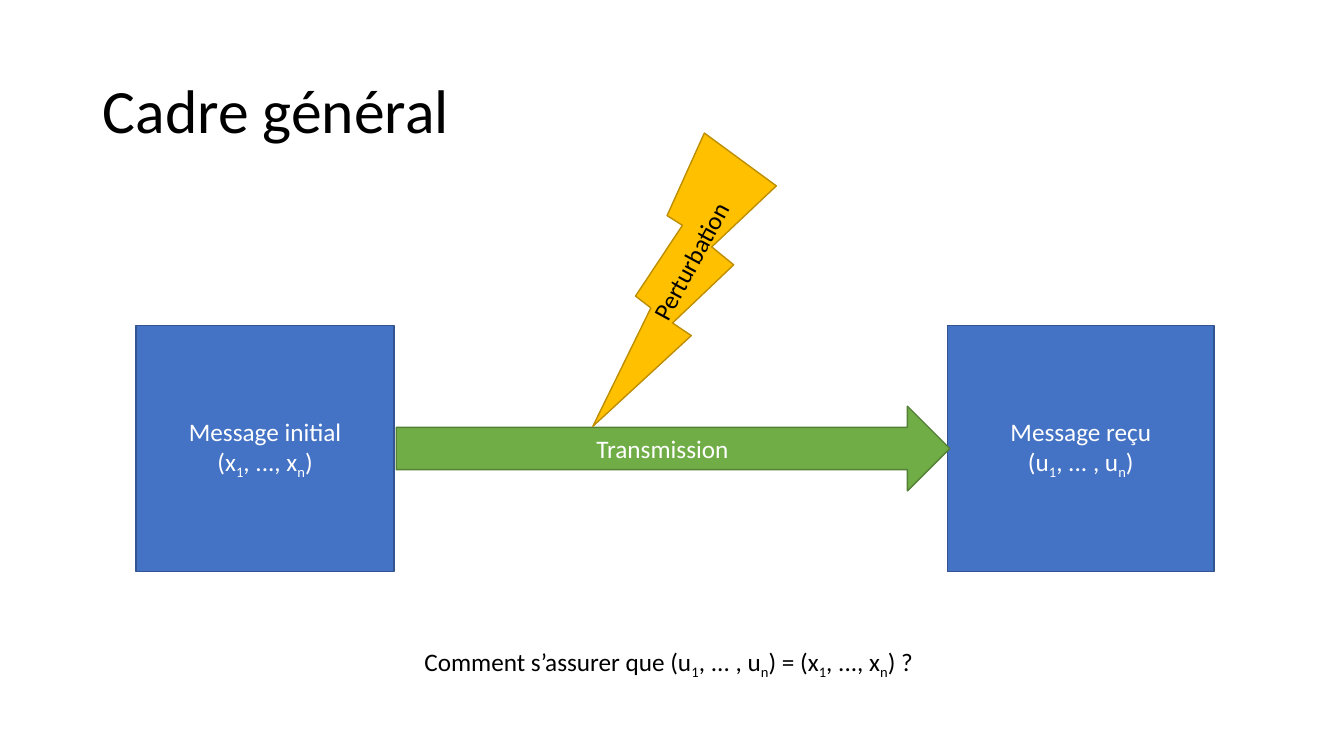
import pptx
import pptx.util
import pptx.dml.color
import pptx.enum.shapes
import pptx.enum.text

Inches, Pt = pptx.util.Inches, pptx.util.Pt
SHAPE = pptx.enum.shapes.MSO_SHAPE
ALIGN = pptx.enum.text.PP_ALIGN
ANCHOR = pptx.enum.text.MSO_ANCHOR

# Content: every second piece between bars is a subscript
TITLE = "Cadre général"
SENT = "(x|1|, ..., x|n|)"
RECEIVED = "(u|1|, ... , u|n|)"
QUESTION = f"Comment s’assurer que {RECEIVED} = {SENT} ? "

COLORS = {
    "black": "000000", "white": "FFFFFF",
    "message": "4472C4", "message line": "325491",
    "transmission": "70AD47", "transmission line": "538035",
    "bolt": "FFC000", "bolt line": "BD8E00",
}
FONT = "Calibri"

# Kind, geometry, colour, lines of text
DIAGRAM = [
    (SHAPE.RECTANGLE, (1.35, 3.23, 2.56, 2.44), "message", ["Message initial", SENT]),
    (SHAPE.RECTANGLE, (9.4, 3.23, 2.64, 2.44), "message", ["Message reçu", RECEIVED]),
    (SHAPE.RIGHT_ARROW, (3.93, 4.03, 5.49, 0.84), "transmission", ["Transmission"]),
    (SHAPE.LIGHTNING_BOLT, (5.88, 1.32, 1.82, 2.91), "bolt", []),
]
# Geometry, rotation, alignment, text
LABELS = [
    ((6.05, 2.3, 1.69, 0.4), 298.5, ALIGN.LEFT, "Perturbation"),
    ((1.13, 6.36, 11.06, 0.4), 0, ALIGN.CENTER, QUESTION),
]


def rgb(name):
    return pptx.dml.color.RGBColor.from_string(COLORS[name])


def write(frame, lines, color, align, size=18):
    for number, line in enumerate(lines):
        paragraph = frame.paragraphs[0] if number == 0 else frame.add_paragraph()
        paragraph.alignment = align
        for position, piece in enumerate(line.split("|")):
            run = paragraph.add_run()
            run.text = piece
            run.font.name, run.font.size = FONT, Pt(size)
            run.font.color.rgb = rgb(color)
            if position % 2:
                run.font._element.set("baseline", "-25000")


presentation = pptx.Presentation()
presentation.slide_width, presentation.slide_height = Inches(13.33), Inches(7.5)
slide = presentation.slides.add_slide(presentation.slide_layouts[5])

# Title
title = slide.shapes.title
title.left, title.top, title.width, title.height = map(Inches, (0.92, 0.4, 11.5, 1.45))
title.text_frame.vertical_anchor = ANCHOR.MIDDLE
write(title.text_frame, [TITLE], "black", ALIGN.LEFT, 44)
title.text_frame.paragraphs[0].line_spacing = 0.9

# Messages, transmission arrow and lightning bolt
for kind, box, color, lines in DIAGRAM:
    part = slide.shapes.add_shape(kind, *map(Inches, box))
    part.shadow.inherit = False
    part.fill.solid()
    part.fill.fore_color.rgb = rgb(color)
    part.line.color.rgb = rgb(f"{color} line")
    part.line.width = Pt(1)
    part.text_frame.vertical_anchor = ANCHOR.MIDDLE
    write(part.text_frame, lines, "white", ALIGN.CENTER)
    if kind == SHAPE.LIGHTNING_BOLT:
        part._element.spPr.xfrm.set("flipH", "1")

# Bolt label and question
for box, rotation, align, text in LABELS:
    label = slide.shapes.add_textbox(*map(Inches, box))
    label.rotation = rotation
    label.text_frame.word_wrap = True
    label.text_frame.auto_size = pptx.enum.text.MSO_AUTO_SIZE.SHAPE_TO_FIT_TEXT
    write(label.text_frame, [text], "black", align)

presentation.save("out.pptx")
